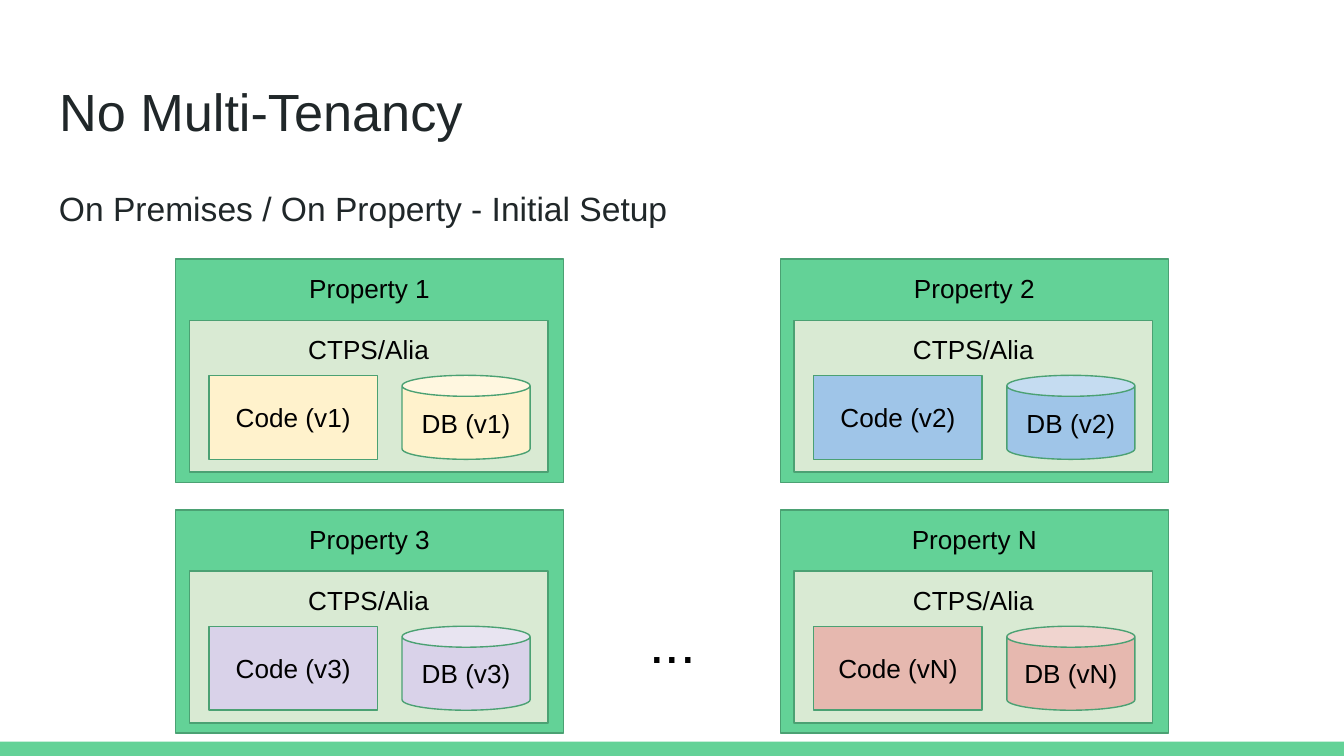
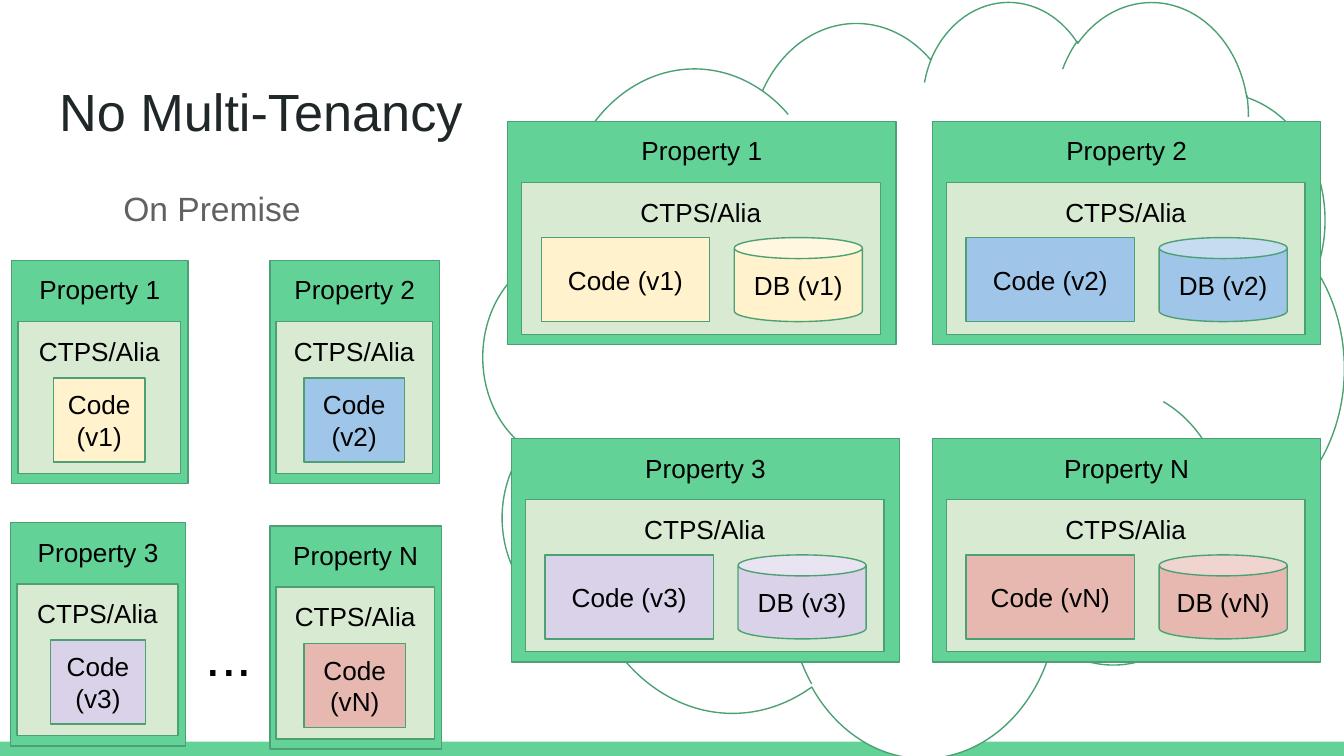
from pptx import Presentation
from pptx.dml.color import RGBColor
from pptx.enum.shapes import MSO_SHAPE as Shape
from pptx.enum.text import MSO_ANCHOR as Anchor, PP_ALIGN as Align
from pptx.util import Pt

COLORS = {
    "green": "63D297", "outline": "4BA173", "pale": "D9EAD3", "white": "FFFFFF",
    "title": "202729", "gray": "616161", "black": "000000",
}
FONT = "Arial"
TITLE = "No Multi-Tenancy"
PRODUCT = "CTPS/Alia"
# Version of each property and the fill of its code and database
VERSIONS = {"1": "FFF2CC", "2": "9FC5E8", "3": "D9D2E9", "N": "E6B8AF"}


def write(box, text, size=14, color="black", align=Align.CENTER, anchor=Anchor.TOP):
    frame = box.text_frame
    frame.word_wrap = True
    frame.vertical_anchor = anchor
    frame.margin_left = frame.margin_right = Pt(7.2)
    frame.margin_top = frame.margin_bottom = Pt(7.2)
    frame.text = text
    para = frame.paragraphs[0]
    para.alignment = align
    span = para.runs[0]
    span.font.name = FONT
    span.font.size = Pt(size)
    span.font.color.rgb = RGBColor.from_string(COLORS[color])


def draw(shapes, kind, left, top, width, height, fill, outlined=True):
    shape = shapes.add_shape(kind, Pt(left), Pt(top), Pt(width), Pt(height))
    shape.shadow.inherit = False
    shape.fill.solid()
    shape.fill.fore_color.rgb = RGBColor.from_string(fill)
    if outlined:
        shape.line.color.rgb = RGBColor.from_string(COLORS["outline"])
        shape.line.width = Pt(0.75)
    else:
        shape.line.fill.background()
    return shape


deck = Presentation()
deck.slide_width, deck.slide_height = Pt(720), Pt(405)

# Subtitle: text, left, top, width, height, color, line spacing, space after
subtitles = [
    ("On Premises / On Property - Initial Setup", 24.5, 93.6, 671, 45.4, "title", 1, 0),
    ("On Premise", 59, 90, 127.4, 38.9, "gray", 1.15, 16),
]
# Ellipsis: left, top, width
ellipses = [(319, 318.2, 82.8), (100.8, 325.4, 43.9)]

# Small properties: version, left, top, width, code left, code width
small_properties = [
    ("1", 6.3, 139.5, 94.5, 22.4, 49),
    ("N", 144.6, 281.8, 92, 18.2, 54.5),
    ("2", 144.6, 139.5, 91, 18.2, 54),
    ("3", 5.8, 280, 93.6, 21.2, 51),
]
# Large properties on each slide: version, left, top
large_properties = [
    [("1", 94, 138.8), ("2", 418, 138.8), ("3", 94, 273.2), ("N", 418, 273.2)],
    [("1", 272, 65), ("2", 499.6, 65), ("3", 274, 235), ("N", 499.6, 235)],
]

for number, (subtitle, ellipsis) in enumerate(zip(subtitles, ellipses)):
    page = deck.slides.add_slide(deck.slide_layouts[5])

    # Title and bottom band
    title = page.shapes.title
    title.left, title.top, title.width, title.height = Pt(24.5), Pt(35), Pt(671), Pt(45.4)
    write(title, TITLE, 28, "title", Align.LEFT)
    draw(page.shapes, Shape.RECTANGLE, 0, 397.4, 720, 7.6, COLORS["green"], False)

    # Subtitle
    text, left, top, width, height, color, spacing, after = subtitle
    box = page.shapes.add_textbox(Pt(left), Pt(top), Pt(width), Pt(height))
    write(box, text, 18, color, Align.LEFT)
    box.text_frame.paragraphs[0].line_spacing = spacing
    box.text_frame.paragraphs[0].space_after = Pt(after)

    # Ellipsis between the properties
    left, top, width = ellipsis
    box = page.shapes.add_textbox(Pt(left), Pt(top), Pt(width), Pt(29.5))
    write(box, "...", 30)

    # Properties with code only, and the cloud
    if number == 1:
        for version, left, top, width, code_left, code_width in small_properties:
            group = page.shapes.add_group_shape().shapes
            outer = draw(group, Shape.RECTANGLE, left, top, width, 119.6, COLORS["green"])
            write(outer, f"Property {version}")
            inner = draw(group, Shape.RECTANGLE, left + 3.3, top + 32.8, width - 7.2, 81.4,
                         COLORS["pale"])
            write(inner, PRODUCT)
            code = draw(group, Shape.RECTANGLE, left + code_left, top + 63, code_width, 45,
                        VERSIONS[version])
            write(code, f"Code (v{version})", anchor=Anchor.MIDDLE)
        draw(page.shapes, Shape.CLOUD, 259, 0, 461, 405, COLORS["white"])

    # Properties with code and database
    for version, left, top in large_properties[number]:
        group = page.shapes.add_group_shape().shapes
        outer = draw(group, Shape.RECTANGLE, left, top, 208, 119.6, COLORS["green"])
        write(outer, f"Property {version}")
        inner = draw(group, Shape.RECTANGLE, left + 7.4, top + 32.8, 192.2, 81.4, COLORS["pale"])
        write(inner, PRODUCT)
        database = draw(group, Shape.CAN, left + 121.4, top + 62.3, 68.6, 45, VERSIONS[version])
        write(database, f"DB (v{version})", anchor=Anchor.MIDDLE)
        code = draw(group, Shape.RECTANGLE, left + 18, top + 62.3, 90.2, 45, VERSIONS[version])
        write(code, f"Code (v{version})", anchor=Anchor.MIDDLE)

deck.save("out.pptx")
